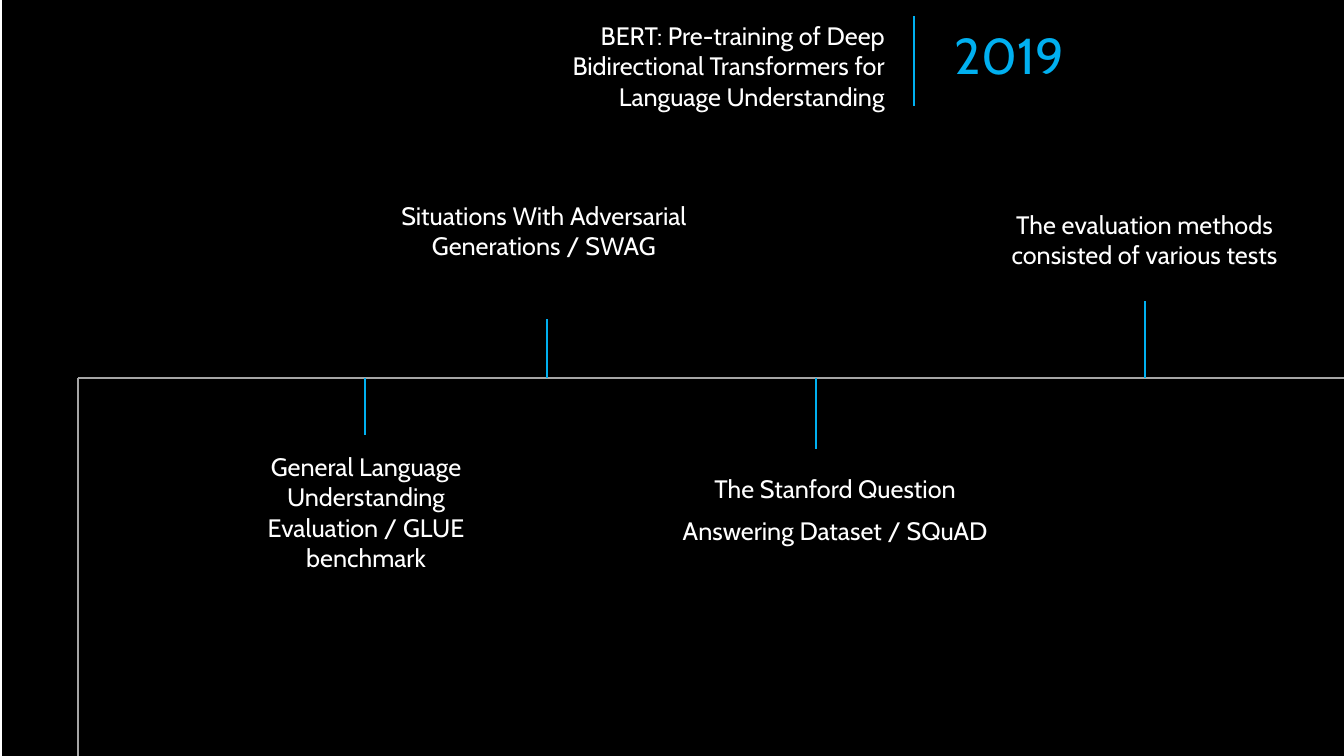
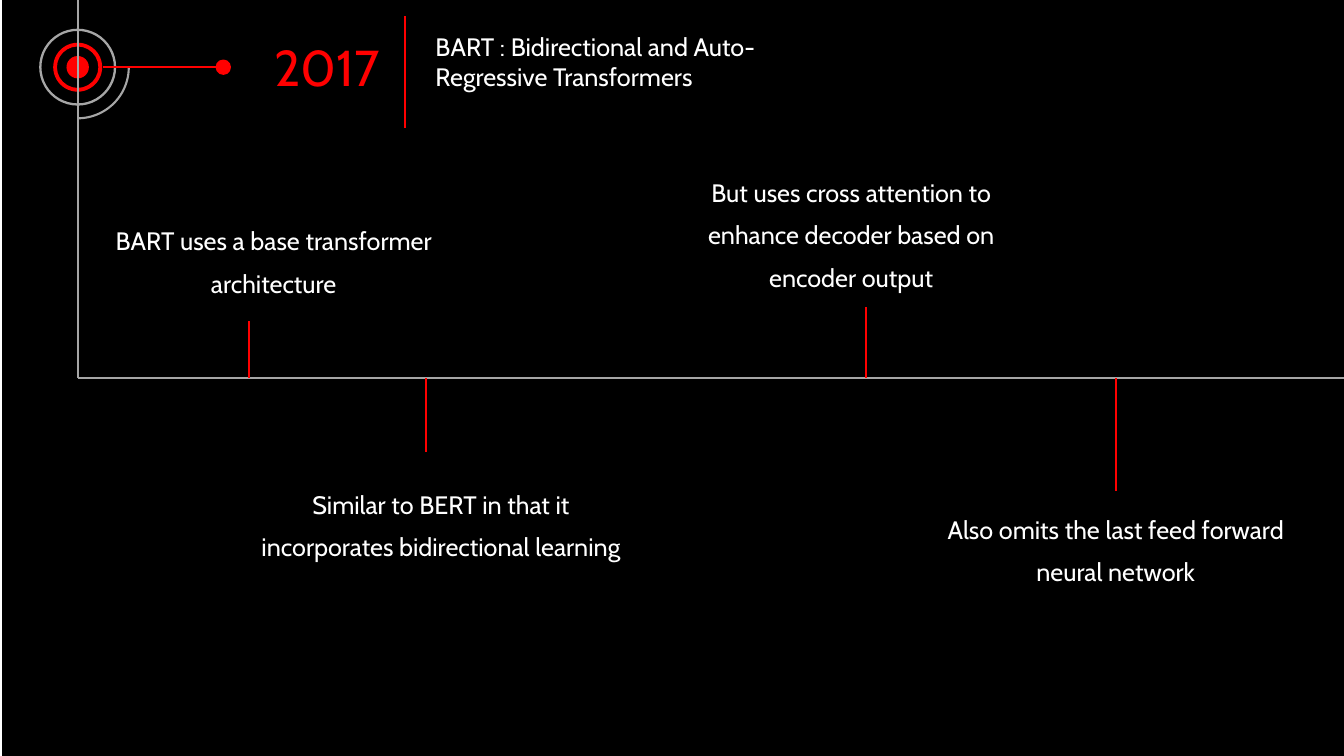
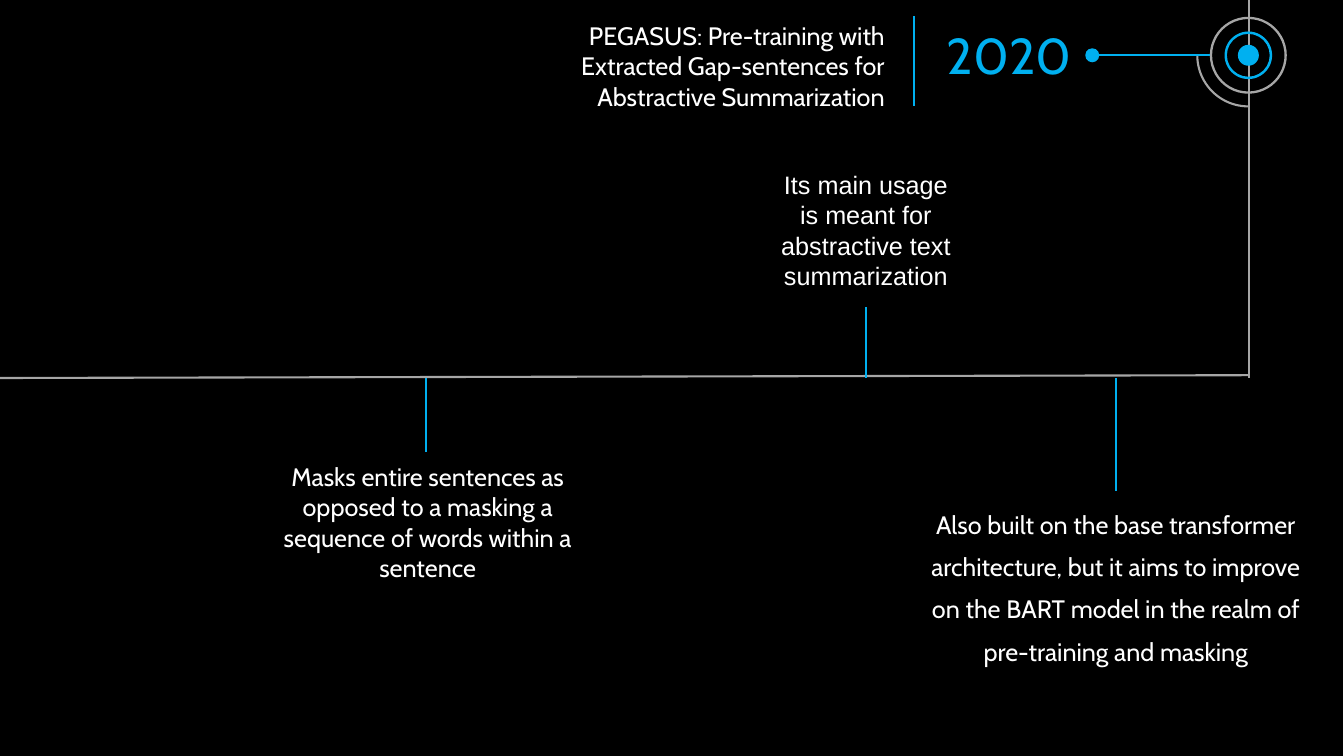
from collections import namedtuple
from dataclasses import dataclass

from lxml import etree
from pptx import Presentation
from pptx import util as u
from pptx.dml.color import RGBColor
from pptx.enum import shapes, text
from pptx.oxml import ns

Box = namedtuple("Box", "left top width height")
Callout = namedtuple("Callout", "words box tick_x tip spacing font", defaults=(1.0, "Cabin"))


@dataclass(frozen=True)
class Theme:
    """Hold the colours, fonts, type sizes and shared measures."""

    black: str = "000000"
    white: str = "FFFFFF"
    grey: str = "A6A6A6"
    blue: str = "00B0F0"
    red: str = "FF0000"
    font: str = "Cabin"
    plain_font: str = "Arial"
    body: int = 18
    year: int = 36
    stroke: float = 1.5
    loose: float = 1.4
    width: int = 960
    height: int = 540
    axis: int = 270
    left_bend: int = 56
    right_bend: int = 892


THEME = Theme()


def set_values(target, values):
    """Set each named value as an attribute of the target."""
    for name, value in values.items():
        setattr(target, name, value)


def to_points(box):
    """Turn the four numbers of a box into point lengths."""
    return [u.Pt(value) for value in box]


def add_line(slide, start, end, color):
    """Draw a straight line without a shadow."""
    line = slide.shapes.add_connector(
        shapes.MSO_CONNECTOR.STRAIGHT, *to_points((*start, *end)))
    line.line.color.rgb = RGBColor.from_string(color)
    line.line.width = u.Pt(THEME.stroke)
    etree.SubElement(line._element.spPr, ns.qn("a:effectLst"))


def add_figure(slide, kind, box, fill=None, outline=None, weight=1, adjustments=()):
    """Draw a preset shape with an optional fill and outline."""
    shape = slide.shapes.add_shape(kind, *to_points(box))
    shape.shadow.inherit = False
    for index, value in enumerate(adjustments):
        shape.adjustments[index] = value
    for part, color in ((shape.fill, fill), (shape.line.fill, outline)):
        if color:
            part.solid()
            part.fore_color.rgb = RGBColor.from_string(color)
        else:
            part.background()
    if outline:
        shape.line.width = u.Pt(weight)


def add_text(slide, box, lines, align, color=THEME.white, size=THEME.body,
             font=THEME.font, spacing=1.0):
    """Place wrapped text, one paragraph for each line given."""
    frame = slide.shapes.add_textbox(*to_points(box)).text_frame
    set_values(frame, {"word_wrap": True,
                       "auto_size": text.MSO_AUTO_SIZE.SHAPE_TO_FIT_TEXT,
                       "text": "\n".join(lines)})
    for paragraph in frame.paragraphs:
        set_values(paragraph, {"alignment": align, "line_spacing": spacing})
        for run in paragraph.runs:
            set_values(run.font, {"name": font, "size": u.Pt(size)})
            run.font.color.rgb = RGBColor.from_string(color)


def add_heading(slide, box, year, title, color, year_first=False):
    """Place the year and title on either side of an upright rule."""
    year_width, title_width = 120, 277
    right = box.left + box.width
    top = box.top + (box.height - 64) / 2
    if year_first:
        year_left, title_left = box.left, right - title_width
        rule_x, align = box.left + 116, text.PP_ALIGN.LEFT
    else:
        year_left, title_left = right - year_width, box.left
        rule_x, align = box.left + 291, text.PP_ALIGN.RIGHT
    add_text(slide, Box(year_left, top + 2.5, year_width, 51), [year],
             text.PP_ALIGN.CENTER, color, THEME.year)
    add_text(slide, Box(title_left, top - 0.5, title_width, 73), title, align)
    add_line(slide, (rule_x, box.top), (rule_x, box.top + box.height), color)


def add_marker(slide, center, color, direction, stem_start, outline=None):
    """Draw the ringed target with a stem to a dot on one side."""
    x, y = center

    def around(middle, size):
        """Return a square box centred on a point of the stem."""
        return Box(middle - size / 2, y - size / 2, size, size)

    kind = shapes.MSO_SHAPE
    dot_x = x + direction * 104 if outline else x + direction * 111.5
    quarter = (0, 54) if direction > 0 else (54, 108)
    add_figure(slide, kind.ARC, around(x, 73), outline=THEME.grey,
               weight=THEME.stroke, adjustments=quarter)
    add_figure(slide, kind.DONUT, around(x, 55), THEME.grey, adjustments=[0.03])
    add_figure(slide, kind.DONUT, around(x, 34), color, outline, adjustments=[0.05])
    add_figure(slide, kind.OVAL, around(x, 15), color, outline)
    add_line(slide, (x + direction * stem_start, y), (dot_x, y), color)
    add_figure(slide, kind.OVAL, around(dot_x, 10), color, outline)


def add_callouts(slide, callouts, color):
    """Place each note with its tick on the timeline."""
    for callout in callouts:
        add_line(slide, (callout.tick_x, THEME.axis), (callout.tick_x, callout.tip), color)
        add_text(slide, callout.box, [callout.words], text.PP_ALIGN.CENTER,
                 font=callout.font, spacing=callout.spacing)


def add_slide(presentation, left, right):
    """Add a blank slide with its black backdrop."""
    slide = presentation.slides.add_slide(presentation.slide_layouts[6])
    add_figure(slide, shapes.MSO_SHAPE.RECTANGLE,
               Box(left, 0, right - left, THEME.height), THEME.black, THEME.black)
    return slide


def build_bert(presentation):
    """Build the slide on BERT and its tests."""
    slide = add_slide(presentation, 2, THEME.width)
    corner = (THEME.left_bend, THEME.axis)
    add_line(slide, corner, (THEME.width, THEME.axis), THEME.grey)
    add_line(slide, corner, (THEME.left_bend, THEME.height), THEME.grey)
    add_heading(slide, Box(362, 11.5, 419, 64), "2019",
                ["BERT: Pre-training of Deep Bidirectional Transformers for",
                 "Language Understanding"], THEME.blue)
    add_callouts(slide, [
        Callout("General Language Understanding Evaluation / GLUE benchmark",
                Box(152, 319, 219, 94), 261, 311),
        Callout("Situations With Adversarial Generations / SWAG",
                Box(279, 139.5, 219, 51), 391, 228),
        Callout("The Stanford Question Answering Dataset / SQuAD",
                Box(478, 326, 237, 66), 583, 321, THEME.loose),
        Callout("The evaluation methods consisted of various tests",
                Box(701, 146, 233, 51), 818, 215),
    ], THEME.blue)


def build_bart(presentation):
    """Build the slide on BART."""
    slide = add_slide(presentation, 2, THEME.width)
    add_marker(slide, (55.5, 48), THEME.red, 1, 18, THEME.red)
    corner = (THEME.left_bend, THEME.axis)
    add_line(slide, corner, (THEME.width, THEME.axis), THEME.grey)
    add_line(slide, (THEME.left_bend, 0), corner, THEME.grey)
    add_heading(slide, Box(173.5, 11.5, 407.5, 80), "2017",
                ["BART : Bidirectional and Auto-Regressive Transformers"],
                THEME.red, year_first=True)
    add_callouts(slide, [
        Callout("BART uses a base transformer architecture",
                Box(39, 149, 313, 66), 178, 229, THEME.loose),
        Callout("Similar to BERT in that it incorporates bidirectional learning",
                Box(174, 337, 282, 66), 304, 323, THEME.loose),
        Callout("But uses cross attention to enhance decoder based on encoder output",
                Box(467, 114.5, 282, 96), 618.5, 219, THEME.loose),
        Callout("Also omits the last feed forward neural network",
                Box(656, 355, 282, 66), 797, 351, THEME.loose),
    ], THEME.red)


def build_pegasus(presentation):
    """Build the slide on PEGASUS."""
    slide = add_slide(presentation, 0, THEME.width - 1)
    add_line(slide, (THEME.right_bend, 0), (THEME.right_bend, THEME.axis), THEME.grey)
    add_line(slide, (0, THEME.axis), (THEME.right_bend, THEME.axis - 2), THEME.grey)
    add_marker(slide, (891.7, 39.5), THEME.blue, -1, 27.5)
    add_heading(slide, Box(362, 11.5, 419, 64), "2020",
                ["PEGASUS: Pre-training with Extracted Gap-sentences for",
                 "Abstractive Summarization"], THEME.blue)
    add_callouts(slide, [
        Callout("Masks entire sentences as opposed to a masking a sequence of words "
                "within a sentence", Box(189, 326, 233, 94), 304, 323),
        Callout("Its main usage is meant for abstractive text summarization",
                Box(546, 117.5, 145, 94), 618.5, 219, font=THEME.plain_font),
        Callout("Also built on the base transformer architecture, but it aims to improve "
                "on the BART model in the realm of pre-training and masking",
                Box(656, 351.5, 282, 127), 797, 351, THEME.loose),
    ], THEME.blue)


def main():
    """Build and save the presentation."""
    presentation = Presentation()
    set_values(presentation, {"slide_width": u.Pt(THEME.width),
                              "slide_height": u.Pt(THEME.height)})
    for build in (build_bert, build_bart, build_pegasus):
        build(presentation)
    presentation.save("out.pptx")


if __name__ == "__main__":
    main()
